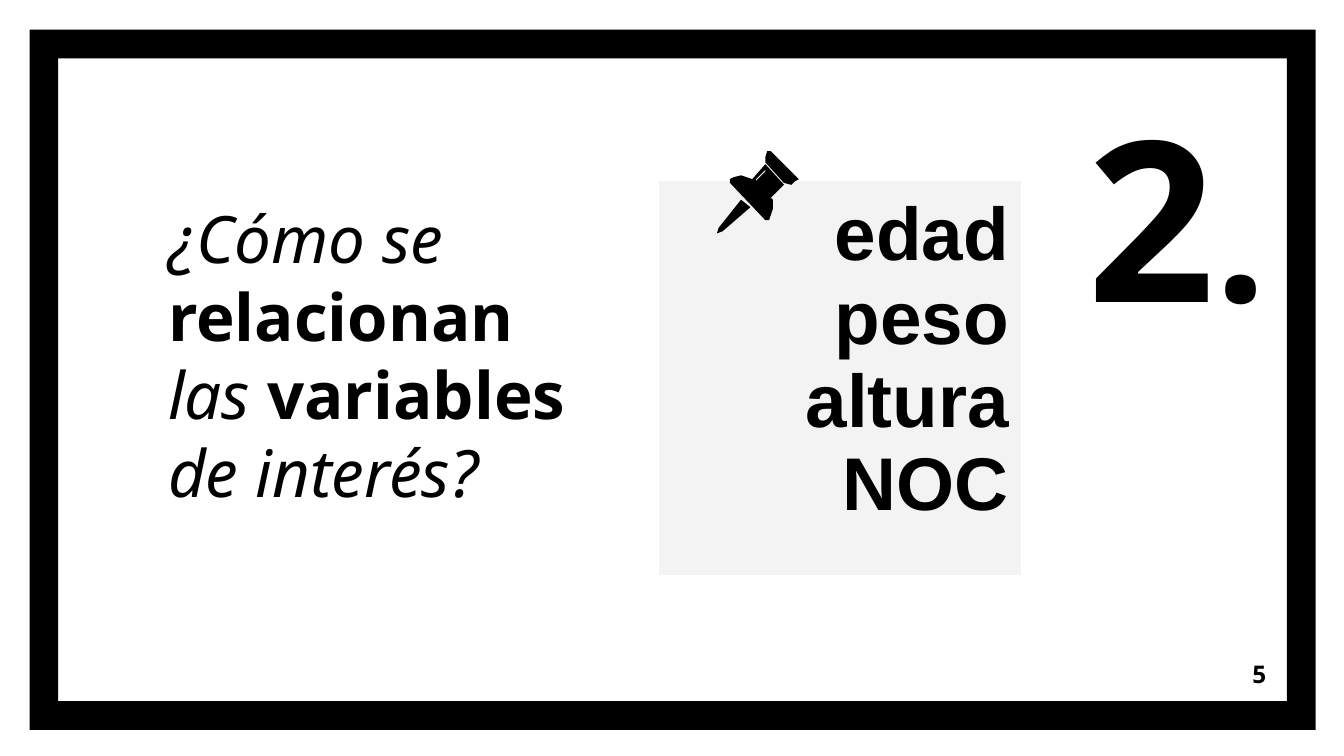
"""Build the slide that asks how the variables of interest are related."""
from dataclasses import dataclass

from pptx import Presentation
from pptx.dml.color import RGBColor
from pptx.enum.shapes import MSO_SHAPE
from pptx.enum.text import MSO_ANCHOR, PP_ALIGN
from pptx.slide import Slide
from pptx.util import Pt

COLORS = {"ink": "000000", "paper": "FFFFFF", "note": "F3F3F3"}
INSET = Pt(7.2)
Point = tuple[float, float]


@dataclass(frozen=True)
class Box:
    left: float
    top: float
    width: float
    height: float

    def lengths(self) -> tuple[Pt, Pt, Pt, Pt]:
        return Pt(self.left), Pt(self.top), Pt(self.width), Pt(self.height)


@dataclass(frozen=True)
class Label:
    box: Box
    pieces: tuple[tuple[str, float], ...]
    anchor: MSO_ANCHOR


FRAME = Box(15.84, 15.84, 689, 375.1)
QUESTION = Box(82.8, 41.8, 252.7, 296.6)
NOTE = Box(352.5, 96.5, 195.1, 211.9)
VARIABLES = ("edad", "peso", "altura", "NOC")
QUESTION_LINES = (
    (("¿Cómo se", False),),
    (("relacionan", True),),
    (("las ", False), ("variables", True)),
    (("de interés?", False),),
)
LABELS = (
    Label(Box(642.2, 345.6, 43.2, 31), (("5", 13),), MSO_ANCHOR.MIDDLE),
    Label(Box(509.8, 34.6, 175.7, 151.9), (("2", 120), (".", 96)), MSO_ANCHOR.TOP),
)
PIN_NEEDLE = (
    ((397.4, 107.3), (385.2, 122.4), (384.5, 125.3), (386.6, 123.8), (401.8, 110.9)),
)
PIN_CAP = (
    ((412.6, 80.6), (411.1, 81.4), (410.4, 83.5), (410.4, 87.1), (420.5, 97.9),
     (424.1, 98.6), (426.2, 97.2), (427.7, 95.8), (427, 95), (413.3, 80.6)),
)
PIN_BODY = (
    ((409.7, 87.8), (403.2, 95.8), (400.3, 94.7), (396.7, 94.3), (393.1, 95),
     (391, 96.5), (391, 97.9), (410.4, 117.7), (411.8, 118.1), (413.3, 115.2),
     (414, 111.6), (413.6, 107.3), (412.6, 105.8), (419.8, 98.6)),
    ((409.7, 91.4), (410.4, 92.2), (405.4, 97.2), (404.6, 97.2), (404.6, 96.5)),
)


def color(name: str) -> RGBColor:
    return RGBColor.from_string(COLORS[name])


def paint(shape) -> None:
    shape.shadow.inherit = False
    shape.fill.solid()
    shape.fill.fore_color.rgb = color("ink")
    shape.line.fill.background()


def set_insets(holder) -> None:
    holder.margin_left = holder.margin_right = INSET
    holder.margin_top = holder.margin_bottom = INSET


def style(font, face: str) -> None:
    font.name = face
    font.color.rgb = color("ink")


def draw_frame(slide: Slide) -> None:
    frame = slide.shapes.add_shape(MSO_SHAPE.FRAME, *FRAME.lengths())
    frame.adjustments[0] = 0.041
    paint(frame)


def draw_variables(slide: Slide) -> None:
    table = slide.shapes.add_table(1, 1, *NOTE.lengths()).table
    table.first_row = table.horz_banding = False
    cell = table.cell(0, 0)
    cell.fill.solid()
    cell.fill.fore_color.rgb = color("note")
    set_insets(cell)
    cell.text = "\n".join(VARIABLES)
    for variable in cell.text_frame.paragraphs:
        variable.alignment = PP_ALIGN.RIGHT
        variable.line_spacing = Pt(44.6)
        style(variable.font, "Arial")
        variable.font.size = Pt(40)
        variable.font.bold = True


def write_question(slide: Slide) -> None:
    question = slide.shapes.title
    question.left, question.top, question.width, question.height = QUESTION.lengths()
    frame = question.text_frame
    frame.word_wrap = True
    frame.vertical_anchor = MSO_ANCHOR.MIDDLE
    set_insets(frame)
    sentence = frame.paragraphs[0]
    sentence.alignment = PP_ALIGN.LEFT
    sentence.line_spacing = Pt(41.8)
    style(sentence.font, "Noto Sans")
    sentence.font.size = Pt(35)
    for index, line in enumerate(QUESTION_LINES):
        if index:
            sentence.add_line_break()
        for words, stressed in line:
            run = sentence.add_run()
            run.text = words
            run.font.bold = stressed
            run.font.italic = not stressed


def draw_pin_part(pin, outlines: tuple[tuple[Point, ...], ...]) -> None:
    first, *holes = outlines
    builder = pin.shapes.build_freeform(*first[0], scale=Pt(1))
    builder.add_line_segments(first[1:], close=True)
    for hole in holes:
        builder.move_to(*hole[0])
        builder.add_line_segments(hole[1:], close=True)
    paint(builder.convert_to_shape())


def write_label(slide: Slide, label: Label) -> None:
    frame = slide.shapes.add_textbox(*label.box.lengths()).text_frame
    frame.word_wrap = True
    frame.vertical_anchor = label.anchor
    set_insets(frame)
    number = frame.paragraphs[0]
    number.alignment = PP_ALIGN.RIGHT
    style(number.font, "Noto Sans")
    number.font.bold = True
    for words, size in label.pieces:
        run = number.add_run()
        run.text = words
        run.font.size = Pt(size)


def main() -> None:
    deck = Presentation()
    deck.slide_width, deck.slide_height = Pt(720), Pt(405)
    slide = deck.slides.add_slide(deck.slide_layouts[5])
    slide.background.fill.solid()
    slide.background.fill.fore_color.rgb = color("paper")
    draw_frame(slide)
    draw_variables(slide)
    write_question(slide)
    pin = slide.shapes.add_group_shape()
    for part in (PIN_NEEDLE, PIN_CAP, PIN_BODY):
        draw_pin_part(pin, part)
    for label in LABELS:
        write_label(slide, label)
    deck.save("out.pptx")


if __name__ == "__main__":
    main()
